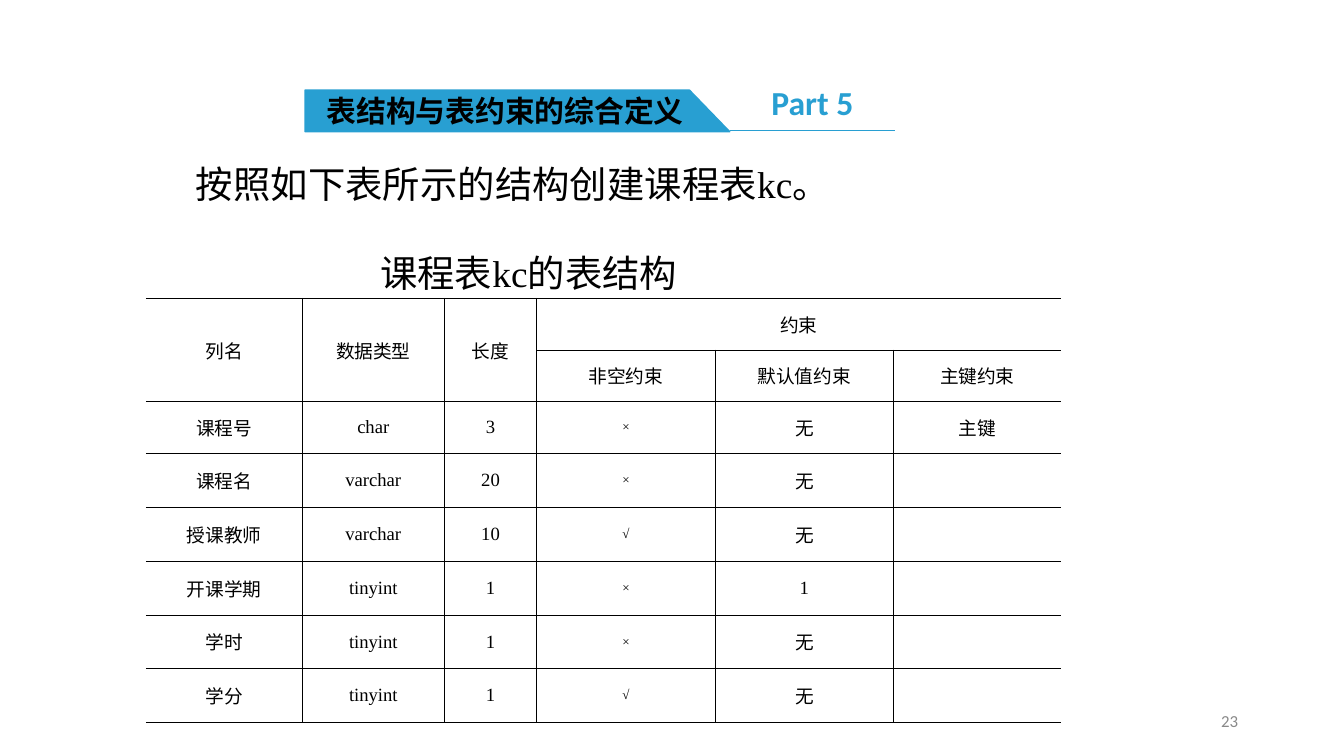
"""Build the slide that defines the structure and constraints of table kc."""
from dataclasses import dataclass
from typing import Any

from lxml import etree
from pptx import Presentation, util as u
from pptx.dml.color import RGBColor
from pptx.enum import shapes, text
from pptx.oxml.ns import qn

HUES = {"blue": "289FD2", "ink": "000000", "gray": "898989"}
SANS, SERIF = "Calibri", "Times New Roman"
UNIT = u.Inches(0.1)
RULE = u.Pt(0.45)
LEFT, MID, RIGHT = text.PP_ALIGN.LEFT, text.PP_ALIGN.CENTER, text.PP_ALIGN.RIGHT
WIDTHS = [11.65, 10.55, 6.9, 13.25, 13.3, 12.45]
HIGH = 30.8
HEAD = [
    ["列名", "数据类型", "长度", "约束", "", ""],
    ["", "", "", "非空约束", "默认值约束", "主键约束"],
]


@dataclass
class Box:
    """Place on a square grid with 100 columns across the slide."""
    col: float
    row: float
    wide: float
    high: float

    def rect(self) -> list[int]:
        return [span(n) for n in (self.col, self.row, self.wide, self.high)]


@dataclass
class Field:
    """One column of the course table."""
    name: str
    kind: str
    size: str
    null: str
    preset: str = "无"
    key: str = ""

    def cells(self) -> list[str]:
        return [self.name, self.kind, self.size, self.null, self.preset, self.key]


FIELDS = [
    Field("课程号", "char", "3", "×", key="主键"),
    Field("课程名", "varchar", "20", "×"),
    Field("授课教师", "varchar", "10", "√"),
    Field("开课学期", "tinyint", "1", "×", "1"),
    Field("学时", "tinyint", "1", "×"),
    Field("学分", "tinyint", "1", "√"),
]


def span(n: float) -> int:
    return round(n * UNIT)


def tint(hue: str) -> RGBColor:
    return RGBColor.from_string(HUES[hue])


def write(para: Any, words: str, *, size: float, face: str = SERIF, hue: str = "ink",
          bold: bool = False, align: Any = LEFT, lead: float = 1, shift: float = 0) -> None:
    para.alignment, para.line_spacing = align, lead
    if shift:
        props = para._p.get_or_add_pPr()
        props.set("marL", str(span(shift)))
        props.set("indent", "0")
    run = para.add_run()
    run.text = words
    font = run.font
    font.size, font.name, font.bold = u.Pt(size), face, bold
    font.color.rgb = tint(hue)


def setup(frame: Any, pad: tuple[float, ...] = (1, 0.5, 1, 0.5)) -> None:
    frame.word_wrap = True
    frame.vertical_anchor = text.MSO_ANCHOR.MIDDLE
    (frame.margin_left, frame.margin_top,
     frame.margin_right, frame.margin_bottom) = map(span, pad)


def label(slide: Any, box: Box, words: str, **form: Any) -> None:
    frame = slide.shapes.add_textbox(*box.rect()).text_frame
    setup(frame)
    write(frame.paragraphs[0], words, **form)


def banner(slide: Any) -> None:
    pen = slide.shapes.build_freeform(span(22.7), span(6.7))
    corners = [(51.3, 6.7), (54.3, 9.8), (22.7, 9.8)]
    pen.add_line_segments([(span(x), span(y)) for x, y in corners], close=True)
    flag = pen.convert_to_shape()
    flag.shadow.inherit = False
    flag.fill.solid()
    flag.fill.fore_color.rgb = flag.line.color.rgb = tint("blue")
    flag.line.width = u.Pt(0.75)
    setup(flag.text_frame, (0.6, 0, 2.4, 0))
    write(flag.text_frame.paragraphs[0], "表结构与表约束的综合定义",
          size=16, face=SANS, bold=True, align=MID)


def part(slide: Any) -> None:
    ends = [span(n) for n in (54.3, 9.7, 66.6, 9.7)]
    line = slide.shapes.add_connector(shapes.MSO_CONNECTOR.STRAIGHT, *ends)
    line.line.color.rgb = tint("blue")
    line.line.width = u.Pt(0.75)
    etree.SubElement(line._element.spPr, qn("a:effectLst"))
    label(slide, Box(54.3, 5.5, 12.3, 4.2), "Part 5",
          size=18, face=SANS, hue="blue", bold=True, align=MID)


def edge(cell: Any, side: str, shown: bool) -> None:
    line = etree.SubElement(cell._tc.get_or_add_tcPr(), qn(f"a:ln{side}"), w=str(RULE))
    if shown:
        fill = etree.SubElement(line, qn("a:solidFill"))
        etree.SubElement(fill, qn("a:srgbClr"), val=HUES["ink"])
    else:
        etree.SubElement(line, qn("a:noFill"))


def grid(slide: Any) -> None:
    rows = HEAD + [field.cells() for field in FIELDS]
    box = Box(10.85, 22.2, sum(WIDTHS), HIGH)
    table = slide.shapes.add_table(len(rows), len(WIDTHS), *box.rect()).table
    table.first_row = table.horz_banding = False
    for col, wide in zip(table.columns, WIDTHS):
        col.width = span(wide)
    for row in table.rows:
        row.height = span(HIGH / len(rows))
    for j in range(3):
        table.cell(0, j).merge(table.cell(1, j))
    table.cell(0, 3).merge(table.cell(0, 5))
    for i, row in enumerate(rows):
        for j, words in enumerate(row):
            cell = table.cell(i, j)
            cell.vertical_anchor = text.MSO_ANCHOR.MIDDLE
            cell.margin_left = cell.margin_right = span(0.8)
            cell.margin_top = cell.margin_bottom = span(0.5)
            last = j + (cell.span_width if cell.is_merge_origin else 1)
            shown = {"L": j > 0, "R": last < len(row), "T": True, "B": True}
            for side, seen in shown.items():
                edge(cell, side, seen)
            cell.fill.background()
            if words:
                write(cell.text_frame.paragraphs[0], words,
                      size=7 if words in "×√" else 10, align=MID)


def intro(slide: Any) -> None:
    frame = slide.shapes.add_textbox(*Box(13.6, 8.1, 66.2, 14.4).rect()).text_frame
    setup(frame)
    write(frame.paragraphs[0], "按照如下表所示的结构创建课程表kc。", size=20, lead=2)
    write(frame.add_paragraph(), "课程表kc的表结构", size=20, lead=2, shift=13.7)


def main() -> None:
    deck = Presentation()
    deck.slide_width, deck.slide_height = span(100), span(56.25)
    slide = deck.slides.add_slide(deck.slide_layouts[6])
    banner(slide)
    part(slide)
    label(slide, Box(70.6, 52.15, 22.5, 3), "23",
          size=9, face=SANS, hue="gray", align=RIGHT)
    grid(slide)
    intro(slide)
    deck.save("out.pptx")


if __name__ == "__main__":
    main()
